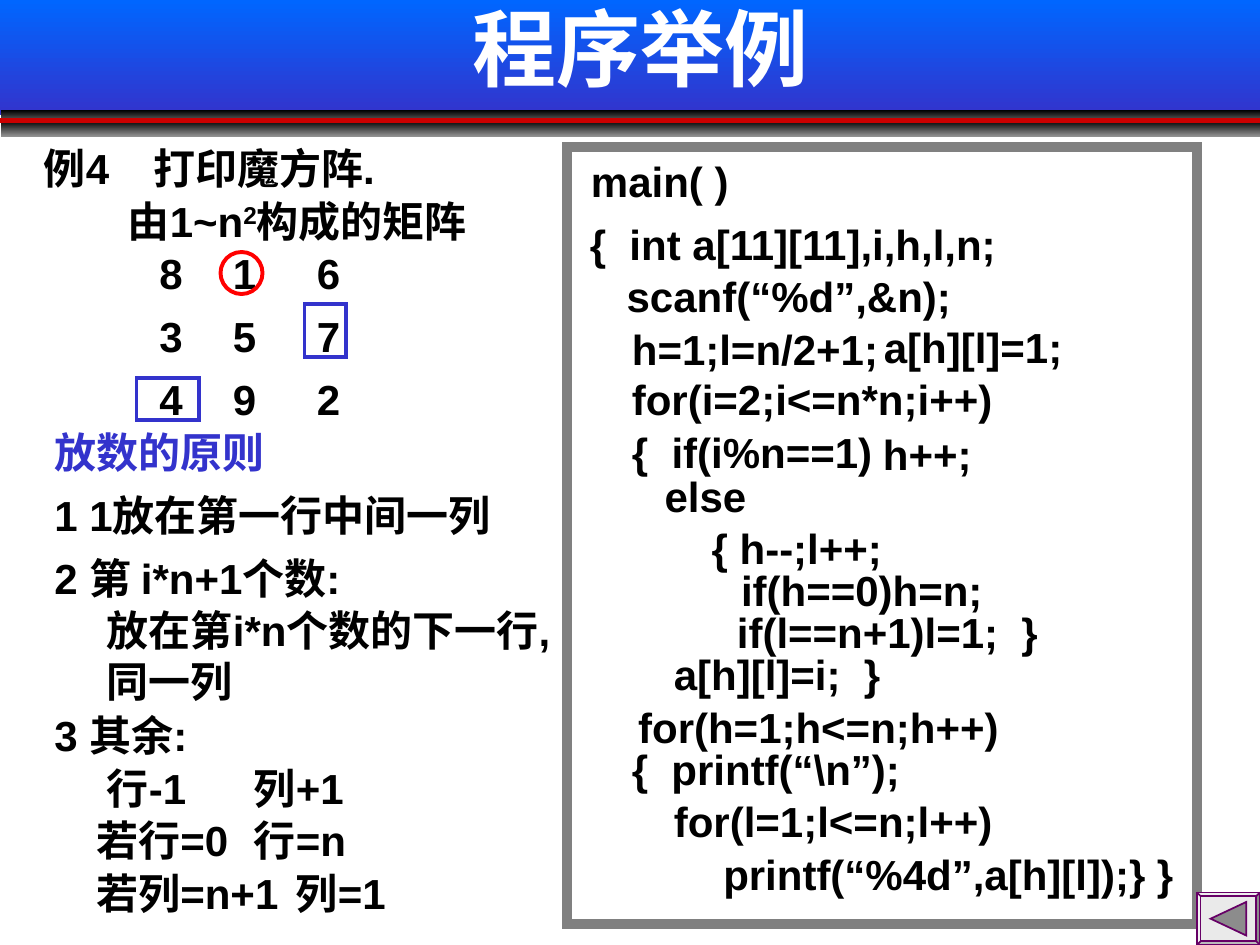
from pptx import Presentation
from pptx.dml.color import RGBColor
from pptx.enum.shapes import MSO_CONNECTOR, MSO_SHAPE
from pptx.enum.text import MSO_ANCHOR, MSO_AUTO_SIZE, PP_ALIGN
from pptx.oxml.ns import qn
from pptx.util import Inches, Pt
from lxml.etree import SubElement

COLS, ROWS = 120, 90
INK = {
    "black": "000000", "white": "FFFFFF", "blue": "3333CC", "sky": "0066FF",
    "red": "FF0000", "rule": "CC0000", "gray": "808080", "ash": "919191",
    "face": "EAEAEA", "arrow": "8C8C8C", "plum": "660066",
}

TITLE = "程序举例"
NOTES = [
    (3, 13, 48, 6, ["例4\t打印魔方阵."], "black", 10.4),
    (11, 18, 48, 6, ["由1~n", "^2", "构成的矩阵"], "black", None),
    (4, 40, 25, 6, ["放数的原则"], "blue", None),
    (4, 46, 47, 6, ["1 1放在第一行中间一列"], "black", None),
    (4, 52, 35, 6, ["2 第 i*n+1个数:"], "black", None),
    (9, 57, 44, 10.8, ["放在第i*n个数的下一行,同一列"], "black", None),
    (4, 67, 31, 6, ["3 其余:"], "black", None),
    (9, 72, 27, 6, ["行-1\t列+1"], "black", 14),
    (8, 77, 17, 6, ["若行=0"], "black", None),
    (23, 77, 13, 6, ["行=n"], "black", None),
    (8, 82, 21, 6, ["若列=n+1"], "black", None),
    (27, 82, 21, 6, ["列=1"], "black", None),
]
SQUARE = ["816", "357", "492"]
LEFTS, TOP, STEP = (14, 21, 29), 23, 6
MARKS = [
    (MSO_SHAPE.OVAL, 21, 24, 4, 4, "red", 2.25),
    (MSO_SHAPE.RECTANGLE, 13, 36, 6, 4, "blue", 2.25),
    (MSO_SHAPE.RECTANGLE, 29, 29, 4, 5, "blue", 2.25),
    (MSO_SHAPE.RECTANGLE, 54, 14, 60, 74, "gray", 6),
]
SLACK = 1
CODE = [
    (55.1, 14.2, 15.5, "main( )"),
    (55, 20.2, 41.5, "{  int a[11][11],i,h,l,n;"),
    (58.5, 25.2, 33.2, "scanf(“%d”,&n);"),
    (59, 30.2, 25.8, "h=1;l=n/2+1;"),
    (83, 30, 19.3, "a[h][l]=1;"),
    (59, 35, 36.7, "for(i=2;i<=n*n;i++)"),
    (59, 40, 27.5, "{  if(i%n==1)"),
    (81.8, 40.2, 14.2, " h++;"),
    (61, 44.2, 13.4, " else"),
    (66.6, 49.2, 20.8, "{ h--;l++;"),
    (69.4, 53.2, 27.6, "if(h==0)h=n;"),
    (69, 57.2, 32.2, "if(l==n+1)l=1;  }"),
    (63, 61.2, 23.2, "a[h][l]=i;  }"),
    (59.6, 66.2, 36.7, "for(h=1;h<=n;h++)"),
    (59, 70.2, 28, "{  printf(“\\n”);"),
    (63, 75.2, 32.8, "for(l=1;l<=n;l++)"),
    (67.7, 80.2, 42.6, "printf(“%4d”,a[h][l]);}"),
    (109, 80.2, 4, "}"),
]
BANDS = [
    (0, 0, 120, 11, "sky", "blue"),
    (0.1, 10.5, 119.9, 1.5, "black", "ash"),
    (0.1, 11.5, 119.9, 1.5, "black", "ash"),
]
RULE = 11.5
BACK = (114, 85, 6, 5)
TIP = [(115.3, 87.5), (118.7, 85.9), (118.7, 89.1)]

deck = Presentation()
deck.slide_width, deck.slide_height = Inches(10), Inches(7.5)
slide = deck.slides.add_slide(deck.slide_layouts[6])
shapes = slide.shapes


def hue(name):
    return RGBColor.from_string(INK[name])


def grid(*nums):
    sides = (deck.slide_width / COLS, deck.slide_height / ROWS)
    return [round(num * sides[i % 2]) for i, num in enumerate(nums)]


def write(box, runs, ink="black", size=24, mid=False,
          align=PP_ALIGN.LEFT, tab=None, fit=True):
    frame = shapes.add_textbox(*grid(*box)).text_frame
    frame.word_wrap = True
    frame.auto_size = MSO_AUTO_SIZE.SHAPE_TO_FIT_TEXT if fit else MSO_AUTO_SIZE.NONE
    frame.vertical_anchor = MSO_ANCHOR.MIDDLE if mid else MSO_ANCHOR.TOP
    para = frame.paragraphs[0]
    para.alignment = align
    if tab:
        stops = SubElement(para._p.get_or_add_pPr(), qn("a:tabLst"))
        SubElement(stops, qn("a:tab"), pos=str(grid(tab)[0]), algn="l")
    for text in runs:
        run = para.add_run()
        run.text = text.lstrip("^")
        font = run.font
        font.name, font.size, font.bold = "Arial", Pt(size), True
        font.color.rgb = hue(ink)
        if text.startswith("^"):
            run._r.get_or_add_rPr().set("baseline", "30000")


def trim(shape, line=None, width=1, fill=None):
    shape.shadow.inherit = False
    if fill:
        shape.fill.solid()
        shape.fill.fore_color.rgb = hue(fill)
    else:
        shape.fill.background()
    if line:
        shape.line.color.rgb = hue(line)
        shape.line.width = Pt(width)
        edge = shape._element.spPr.find(qn("a:ln"))
        SubElement(edge, qn("a:miter"), lim="800000")
    else:
        shape.line.fill.background()


for *box, runs, ink, tab in NOTES:
    write(box, runs, ink, tab=tab)
for row, line in enumerate(SQUARE):
    for left, digit in zip(LEFTS, line):
        write((left, TOP + row * STEP, 6, 6), [digit])
for kind, *box, ink, width in MARKS:
    trim(shapes.add_shape(kind, *grid(*box)), ink, width)
for left, top, width, text in CODE:
    write((left, top, width + SLACK, 6), [text], mid=True)

for *box, start, end in BANDS:
    band = shapes.add_shape(MSO_SHAPE.RECTANGLE, *grid(*box))
    trim(band)
    band.fill.gradient()
    band.fill.gradient_angle = 270
    for stop, ink in zip(band.fill.gradient_stops, (start, end)):
        stop.color.rgb = hue(ink)
rule = shapes.add_connector(MSO_CONNECTOR.STRAIGHT, *grid(0, RULE, COLS, RULE))
rule.line.color.rgb = hue("rule")
rule.line.width = Pt(3)
SubElement(rule._element.spPr, qn("a:effectLst"))
write((10, -3, 102, 15), [TITLE], "white", 48, mid=True,
      align=PP_ALIGN.CENTER, fit=False)

back = shapes.add_shape(MSO_SHAPE.BEVEL, *grid(*BACK))
back.adjustments[0] = 0.07
trim(back, "plum", 1, "face")
tips = [grid(*spot) for spot in TIP]
arrow = shapes.build_freeform(*tips[0])
arrow.add_line_segments(tips[1:], close=True)
trim(arrow.convert_to_shape(), "plum", 1, "arrow")

deck.save("out.pptx")
